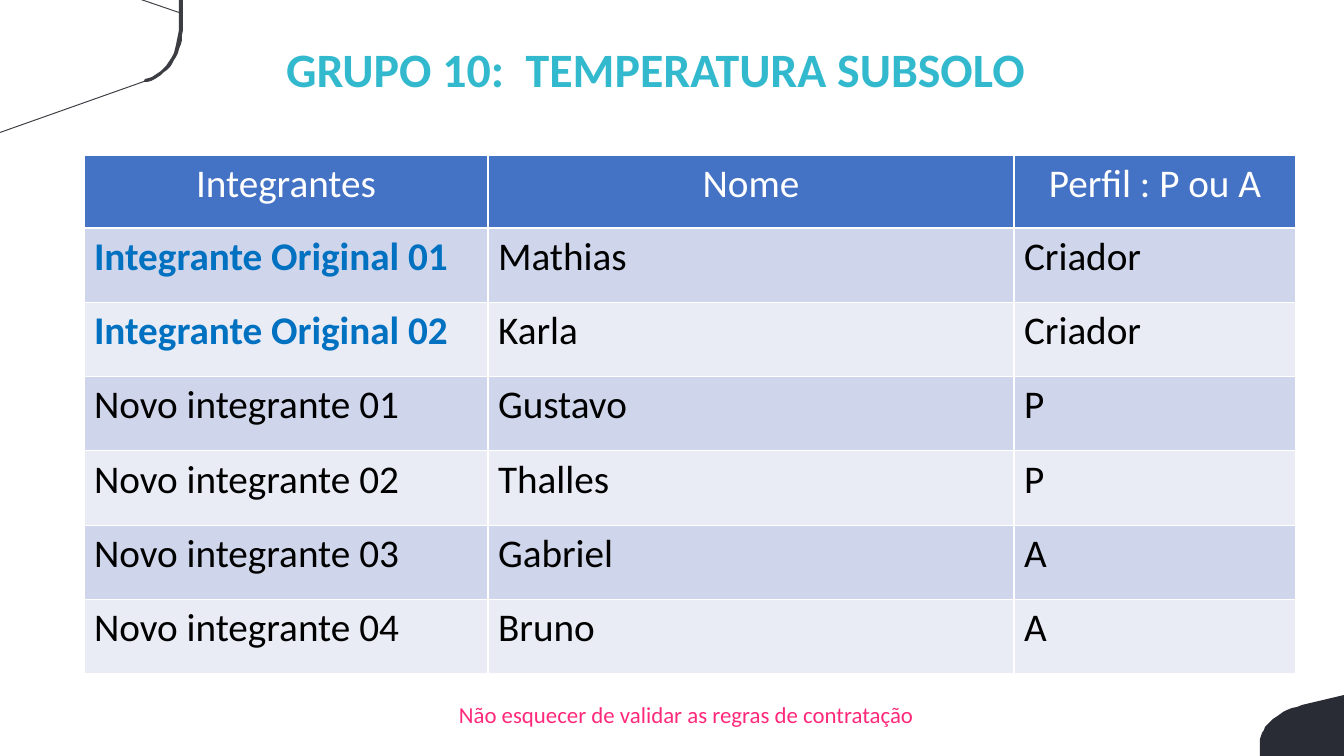
from pptx import Presentation
from pptx.dml.color import RGBColor
from pptx.enum.text import MSO_ANCHOR, MSO_AUTO_SIZE, PP_ALIGN
from pptx.util import Pt

LEFT, CENTER = PP_ALIGN.LEFT, PP_ALIGN.CENTER
TOP = MSO_ANCHOR.TOP
FIXED, GROW = MSO_AUTO_SIZE.NONE, MSO_AUTO_SIZE.SHAPE_TO_FIT_TEXT
PX = 914400 / 100.8
TITLE_ONLY = 5


def write(frame, text, size, color, bold=False, align=LEFT, lead=1.0):
    para = frame.paragraphs[0]
    para.alignment = align
    para.line_spacing = lead
    run = para.add_run()
    run.text = text
    font = run.font
    font.name, font.size, font.bold = "Calibri", Pt(size), bold
    font.color.rgb = RGBColor.from_string(color)


def curve(start, bend, end, steps=16):
    """Points along a quadratic curve."""
    points = []
    for step in range(steps + 1):
        t = step / steps
        points.append(tuple((1 - t) ** 2 * a + 2 * t * (1 - t) * b + t * t * c
                            for a, b, c in zip(start, bend, end)))
    return points


deck = Presentation()
deck.slide_width, deck.slide_height = round(1344 * PX), round(756 * PX)
slide = deck.slides.add_slide(deck.slide_layouts[TITLE_ONLY])
shapes = slide.shapes

# Corner ornaments
block = [(1344, 695), *curve((1302, 705), (1259, 718), (1260, 746)),
         (1260, 756), (1344, 756)]
lines = [(0, 133), (144, 82), *curve((147, 82), (179, 71), (183, 30)),
         (183, 0), (179, 0), (179, 12), (144, 0), (141, 0), (179, 13),
         *curve((179, 30), (174, 72), (145, 79)), (144, 81), (0, 132)]
for outline, color in ((block, "292C34"), (lines, "3B3D42")):
    pen = shapes.build_freeform(*outline[0], scale=PX)
    pen.add_line_segments(outline[1:], close=True)
    corner = pen.convert_to_shape()
    corner.shadow.inherit = False
    corner.fill.solid()
    corner.fill.fore_color.rgb = RGBColor.from_string(color)
    corner.line.fill.background()

# Title
title = shapes.title
title.left, title.top, title.width, title.height = (
    round(n * PX) for n in (276, 41, 829, 77))
frame = title.text_frame
frame.word_wrap, frame.auto_size = True, FIXED
frame.vertical_anchor = TOP
write(frame, "GRUPO 10:  TEMPERATURA SUBSOLO", 34.2, "32B9CD",
      bold=True, lead=0.9)

# Team table
team = [
    ("Integrantes", "Nome", "Perfil : P ou A"),
    ("Integrante Original 01", "Mathias", "Criador"),
    ("Integrante Original 02", "Karla", "Criador"),
    ("Novo integrante 01", "Gustavo", "P"),
    ("Novo integrante 02", "Thalles", "P"),
    ("Novo integrante 03", "Gabriel", "A"),
    ("Novo integrante 04", "Bruno", "A"),
]
widths = (404, 526, 282)
heights = [73] + [74.3] * 6
grid = shapes.add_table(len(team), len(widths), round(84 * PX), round(155 * PX),
                        round(sum(widths) * PX), round(sum(heights) * PX)).table
for col, width in zip(grid.columns, widths):
    col.width = round(width * PX)
for r, (row, height) in enumerate(zip(team, heights)):
    grid.rows[r].height = round(height * PX)
    head = r == 0
    fill = "4472C4" if head else ("E9EBF5", "CFD5EA")[r % 2]
    for c, text in enumerate(row):
        cell = grid.cell(r, c)
        cell.fill.solid()
        cell.fill.fore_color.rgb = RGBColor.from_string(fill)
        first = c == 0 and text.startswith("Integrante Original")
        color = "FFFFFF" if head else "0070C0" if first else "000000"
        write(cell.text_frame, text, 28, color, bold=first,
              align=CENTER if head else LEFT)

# Reminder
note = shapes.add_textbox(*(round(n * PX) for n in (449, 696, 482, 38)))
note.text_frame.word_wrap, note.text_frame.auto_size = False, GROW
write(note.text_frame, "Não esquecer de validar as regras de contratação",
      16.3, "FF297B")

deck.save("out.pptx")
